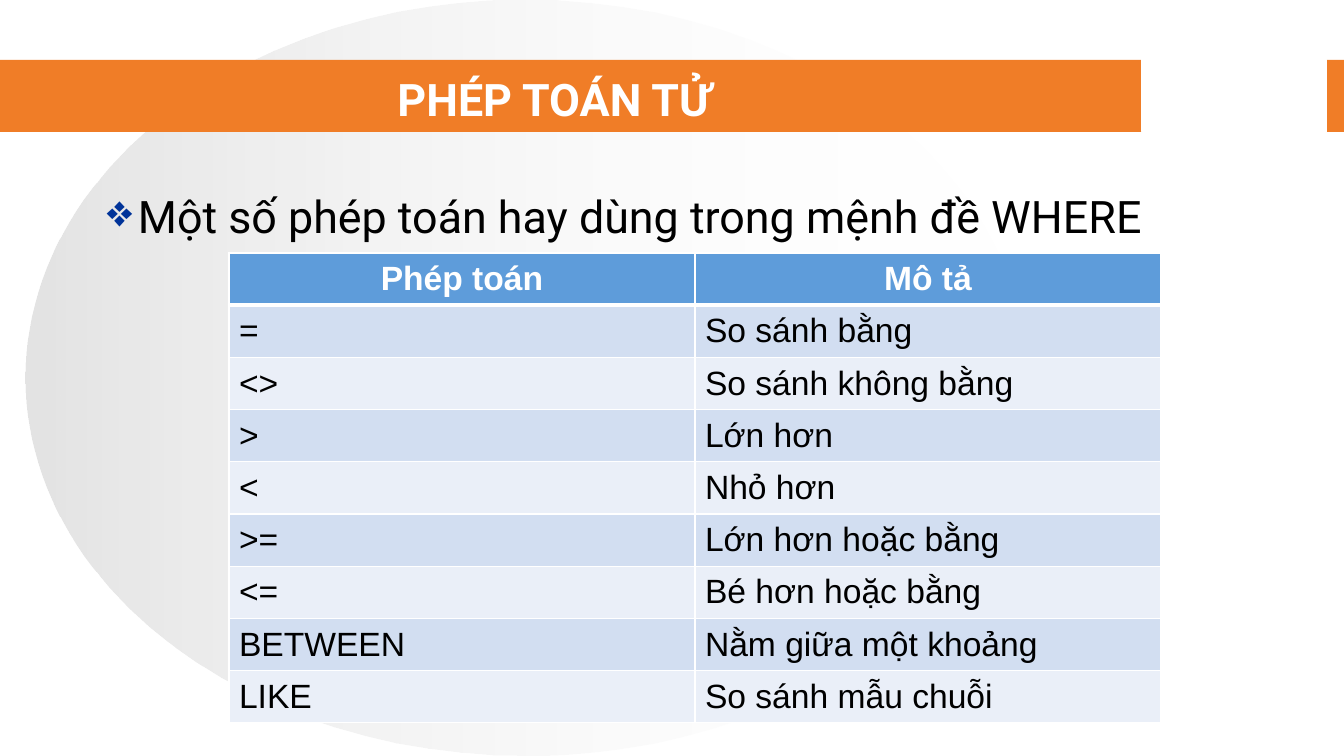
import pptx
import pptx.dml.color
import pptx.enum.shapes
import pptx.enum.text
import pptx.oxml.ns
import pptx.util
from lxml import etree

ALIGN = pptx.enum.text.PP_ALIGN
ANCHOR = pptx.enum.text.MSO_ANCHOR
SHAPE = pptx.enum.shapes.MSO_SHAPE
EMU_PER_PX = 914400 / 100.8
WHITE, ORANGE, HEADER = "FFFFFF", "F07D27", "5E9CDA"
BANDS = ("D2DEF1", "EAEFF8")
ROWS = [
    ("Phép toán", "Mô tả"),
    ("=", "So sánh bằng"),
    ("<>", "So sánh không bằng"),
    (">", "Lớn hơn"),
    ("<", "Nhỏ hơn"),
    (">=", "Lớn hơn hoặc bằng"),
    ("<=", "Bé hơn hoặc bằng"),
    ("BETWEEN", "Nằm giữa một khoảng"),
    ("LIKE", "So sánh mẫu chuỗi"),
]


def px(*values):
    """Turn pixel lengths into a list of EMU."""
    return [pptx.util.Emu(round(v * EMU_PER_PX)) for v in values]


def rgb(color):
    """Turn a hex string into a colour."""
    return pptx.dml.color.RGBColor.from_string(color)


def child(parent, tag, **attrs):
    """Append a DrawingML element to a parent."""
    return etree.SubElement(parent, pptx.oxml.ns.qn(tag), attrs)


def write(tf, text, size=24, font="Arial", color="000000", bold=False,
          align=ALIGN.LEFT, anchor=ANCHOR.MIDDLE):
    """Write one formatted paragraph and return it."""
    tf.word_wrap = True
    tf.vertical_anchor = anchor
    p = tf.paragraphs[0]
    p.alignment = align
    r = p.add_run()
    r.text = text
    r.font.size = pptx.util.Pt(size)
    r.font.name = font
    r.font.bold = bold
    r.font.color.rgb = rgb(color)
    return p


def add_block(s, kind, box, fill=None, line=None):
    """Add a preset shape with an optional solid fill and outline."""
    sp = s.shapes.add_shape(kind, *px(*box))
    sp.shadow.inherit = False
    if fill:
        sp.fill.solid()
        sp.fill.fore_color.rgb = rgb(fill)
    if line:
        sp.line.color.rgb = rgb(line)
        sp.line.width = pptx.util.Pt(0.75)
    else:
        sp.line.fill.background()
    return sp


def fade(sp, stops):
    """Fill a shape with a left-to-right gradient of (colour, opacity) stops."""
    sp.fill.gradient()
    sp.fill.gradient_angle = 0
    for stop, (color, opacity) in zip(sp.fill.gradient_stops, stops):
        stop.color.rgb = rgb(color)
    marks = sp._element.spPr.iter(pptx.oxml.ns.qn("a:srgbClr"))
    for mark, (color, opacity) in zip(marks, stops):
        child(mark, "a:alpha", val=str(opacity * 1000))


def add_text(s, box, text, **fmt):
    """Add a text box and return its paragraph."""
    return write(s.shapes.add_textbox(*px(*box)).text_frame, text, **fmt)


def add_bullet(p, char, color, left, indent):
    """Give a paragraph a coloured bullet with a hanging indent."""
    pPr = p._p.get_or_add_pPr()
    left, indent = px(left, indent)
    pPr.set("marL", str(left))
    pPr.set("indent", str(indent))
    child(child(pPr, "a:buClr"), "a:srgbClr", val=color)
    child(pPr, "a:buChar", char=char)


def set_borders(cell, color, **widths):
    """Draw the cell's borders, with widths in points by side."""
    tcPr = cell._tc.get_or_add_tcPr()
    for side in "LRTB":
        width = pptx.util.Pt(widths.get(side, 1))
        ln = child(tcPr, "a:ln" + side, w=str(width))
        child(child(ln, "a:solidFill"), "a:srgbClr", val=color)


def add_operator_table(s, box, rows):
    """Add a banded table whose first row is the header."""
    table = s.shapes.add_table(len(rows), len(rows[0]), *px(*box)).table
    for i, row in enumerate(rows):
        for j, text in enumerate(row):
            cell = table.cell(i, j)
            set_borders(cell, WHITE, T=3 if i == 1 else 1, B=1 if i else 3)
            cell.fill.solid()
            cell.fill.fore_color.rgb = rgb(BANDS[(i - 1) % 2] if i else HEADER)
            cell.vertical_anchor = ANCHOR.MIDDLE
            if i:
                write(cell.text_frame, text)
            else:
                write(cell.text_frame, text, color=WHITE, bold=True,
                      align=ALIGN.CENTER)


def main():
    """Build the slide and save it."""
    prs = pptx.Presentation()
    prs.slide_width, prs.slide_height = px(1344, 756)
    s = prs.slides.add_slide(prs.slide_layouts[6])
    fade(add_block(s, SHAPE.OVAL, (26, 0, 1000, 756)),
         [("C0C0C0", 44), (WHITE, 0)])
    add_block(s, SHAPE.RECTANGLE, (0, 60, 1344, 72), ORANGE)
    add_block(s, SHAPE.RECTANGLE, (1142, 60, 185, 72), WHITE, WHITE)
    add_text(s, (68, 68, 984, 62), "PHÉP TOÁN TỬ ", size=32, font="Roboto",
             color=WHITE, bold=True, align=ALIGN.CENTER)
    p = add_text(s, (68, 184, 1216, 512),
                 "Một số phép toán hay dùng trong mệnh đề WHERE",
                 size=32, font="Roboto", anchor=ANCHOR.TOP)
    p.space_before = pptx.util.Pt(16.5)
    add_bullet(p, "❖", "003399", 60, -31)
    add_operator_table(s, (229, 253, 932, 470), ROWS)
    prs.save("out.pptx")


if __name__ == "__main__":
    main()
